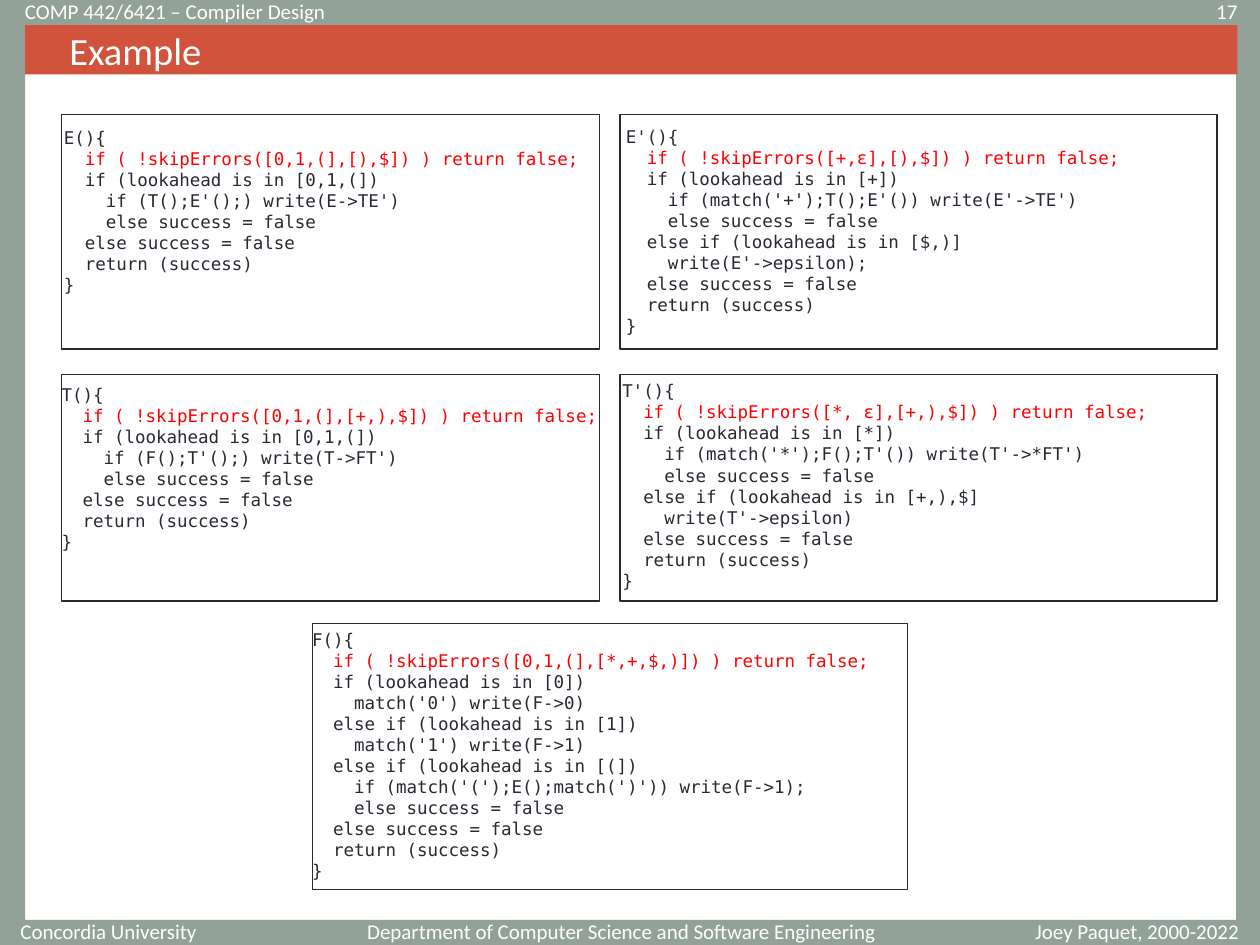
"""Build a slide of recursive descent parsing functions with error recovery."""
import pptx
import pptx.dml.color
import pptx.enum.shapes
import pptx.enum.text
import pptx.util

Inches = pptx.util.Inches
Align = pptx.enum.text.PP_ALIGN
Anchor = pptx.enum.text.MSO_ANCHOR
COLORS = {"frame": "93A299", "title": "D2533C", "light": "FFFFFF",
          "code": "292934", "check": "FF0000"}

FRAME = [(0, 0, 10, 0.2), (0, 7.3, 10, 0.2), (0, 0, 0.2, 7.44), (9.81, 0.18, 0.19, 7.32)]

LABELS = [
    ("Concordia University", (0.03, 7.33, 1.63, 0.12), Align.RIGHT),
    ("Department of Computer Science and Software Engineering",
     (2.8, 7.33, 4.25, 0.12), Align.RIGHT),
    ("17", (8.75, 0.03, 1.17, 0.12), Align.RIGHT),
    ("COMP 442/6421 – Compiler Design", (0.1, 0.03, 5.6, 0.12), Align.LEFT),
    ("Joey Paquet, 2000-2022", (7.99, 7.33, 2.07, 0.12), Align.CENTER),
]

PROCEDURES = [
    ("E", "[0,1,(],[),$]", """\
  if (lookahead is in [0,1,(])
    if (T();E'();) write(E->TE')
    else success = false""",
     (0.49, 0.91, 4.27, 1.86), (0.41, 0.96, 4.33, 1.44)),
    ("E'", "[+,ε],[),$]", """\
  if (lookahead is in [+])
    if (match('+');T();E'()) write(E'->TE')
    else success = false
  else if (lookahead is in [$,)]
    write(E'->epsilon);""",
     (4.92, 0.91, 4.74, 1.86), (4.87, 0.95, 4.16, 1.77)),
    ("T", "[0,1,(],[+,),$]", """\
  if (lookahead is in [0,1,(])
    if (F();T'();) write(T->FT')
    else success = false""",
     (0.49, 2.97, 4.27, 1.8), (0.39, 3, 4.49, 1.61)),
    ("T'", "[*, ε],[+,),$]", """\
  if (lookahead is in [*])
    if (match('*');F();T'()) write(T'->*FT')
    else success = false
  else if (lookahead is in [+,),$]
    write(T'->epsilon)""",
     (4.92, 2.97, 4.74, 1.8), (4.84, 2.97, 4.41, 1.77)),
    ("F", "[0,1,(],[*,+,$,)]", """\
  if (lookahead is in [0])
    match('0') write(F->0)
  else if (lookahead is in [1])
    match('1') write(F->1)
  else if (lookahead is in [(])
    if (match('(');E();match(')')) write(F->1);
    else success = false""",
     (2.48, 4.95, 4.72, 2.11), (2.38, 4.94, 4.66, 2.11)),
]


def rgb(name):
    return pptx.dml.color.RGBColor.from_string(COLORS[name])


def add_run(p, text, *, size=12, font="Calibri", color="light"):
    r = p.add_run()
    r.text = text
    r.font.size = pptx.util.Pt(size)
    r.font.name = font
    r.font.color.rgb = rgb(color)


class Deck:
    def __init__(self):
        self.prs = pptx.Presentation()
        self.prs.slide_width, self.prs.slide_height = Inches(10), Inches(7.5)
        self.s = self.prs.slides.add_slide(self.prs.slide_layouts[6])
        self.code_style = {"size": 10, "font": "DejaVu Sans Mono"}

    def rect(self, box, fill=None, line=None):
        sp = self.s.shapes.add_shape(pptx.enum.shapes.MSO_SHAPE.RECTANGLE, *map(Inches, box))
        sp.shadow.inherit = False
        if fill:
            sp.fill.solid()
            sp.fill.fore_color.rgb = rgb(fill)
        else:
            sp.fill.background()
        if line:
            sp.line.color.rgb = rgb(line)
            sp.line.width = pptx.util.Pt(0.75)
        else:
            sp.line.fill.background()
        return sp

    def title(self, text, box):
        tf = self.rect(box, fill="title").text_frame
        tf.vertical_anchor = Anchor.MIDDLE
        tf.margin_left = Inches(0.35)
        p = tf.paragraphs[0]
        p.alignment = Align.LEFT
        add_run(p, text, size=22)

    def label(self, text, box, align):
        tf = self.s.shapes.add_textbox(*map(Inches, box)).text_frame
        tf.word_wrap = True
        tf.vertical_anchor = Anchor.MIDDLE
        p = tf.paragraphs[0]
        p.alignment = align
        add_run(p, text)

    def procedure(self, name, sets, body, border, box):
        tf = self.s.shapes.add_textbox(*map(Inches, box)).text_frame
        tf.word_wrap = True
        check = f"  if ( !skipErrors({sets}) ) return false;"
        lines = [f"{name}(){{", check, *body.split("\n"),
                 "  else success = false", "  return (success)", "}"]
        for i, line in enumerate(lines):
            p = tf.add_paragraph() if i else tf.paragraphs[0]
            color = "check" if line == check else "code"
            add_run(p, line, color=color, **self.code_style)
        self.rect(border, line="code")


def main():
    deck = Deck()
    for box in FRAME:
        deck.rect(box, fill="frame")
    deck.title("Example", (0.2, 0.2, 9.62, 0.39))
    for label in LABELS:
        deck.label(*label)
    for procedure in PROCEDURES:
        deck.procedure(*procedure)
    deck.prs.save("out.pptx")


if __name__ == "__main__":
    main()
